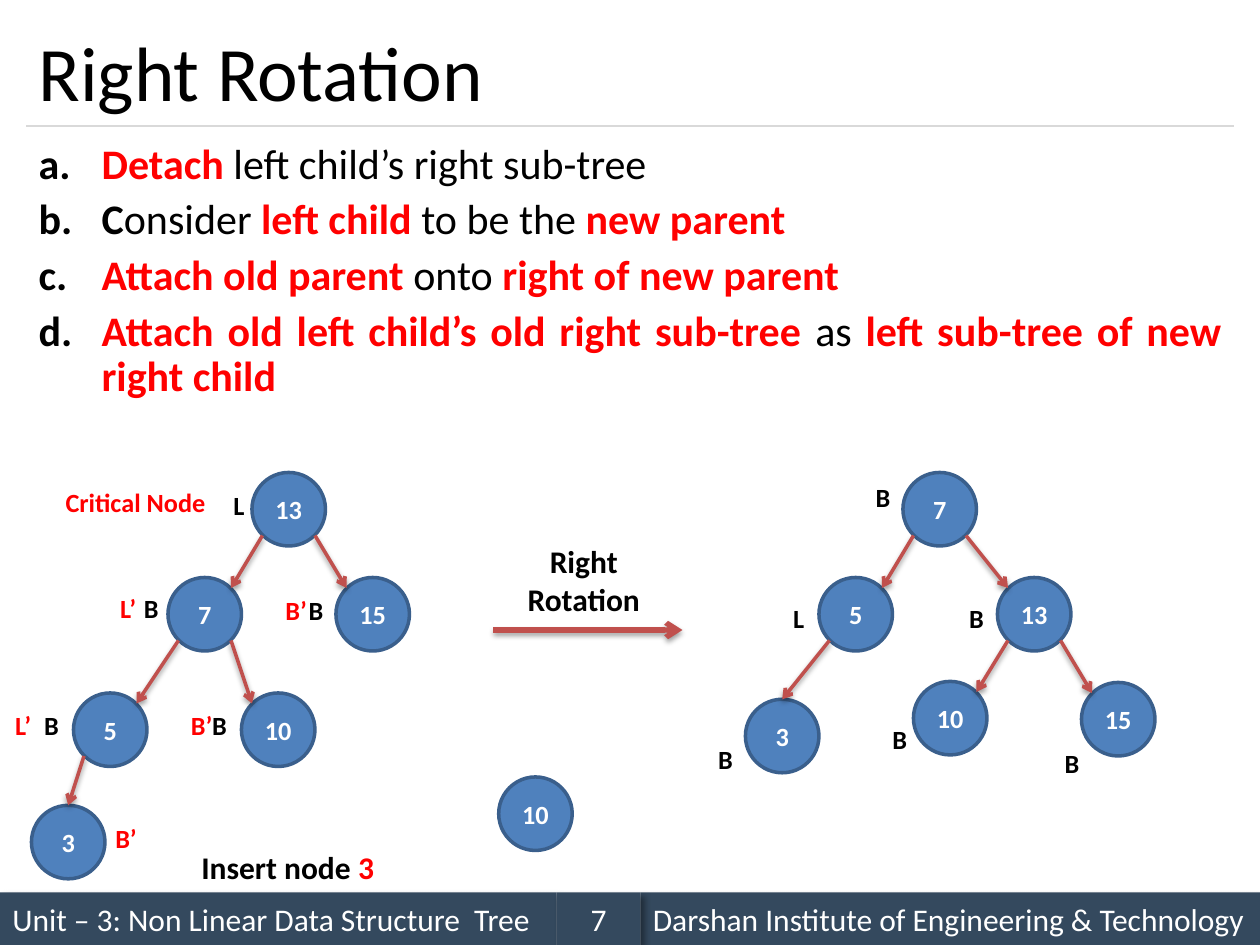
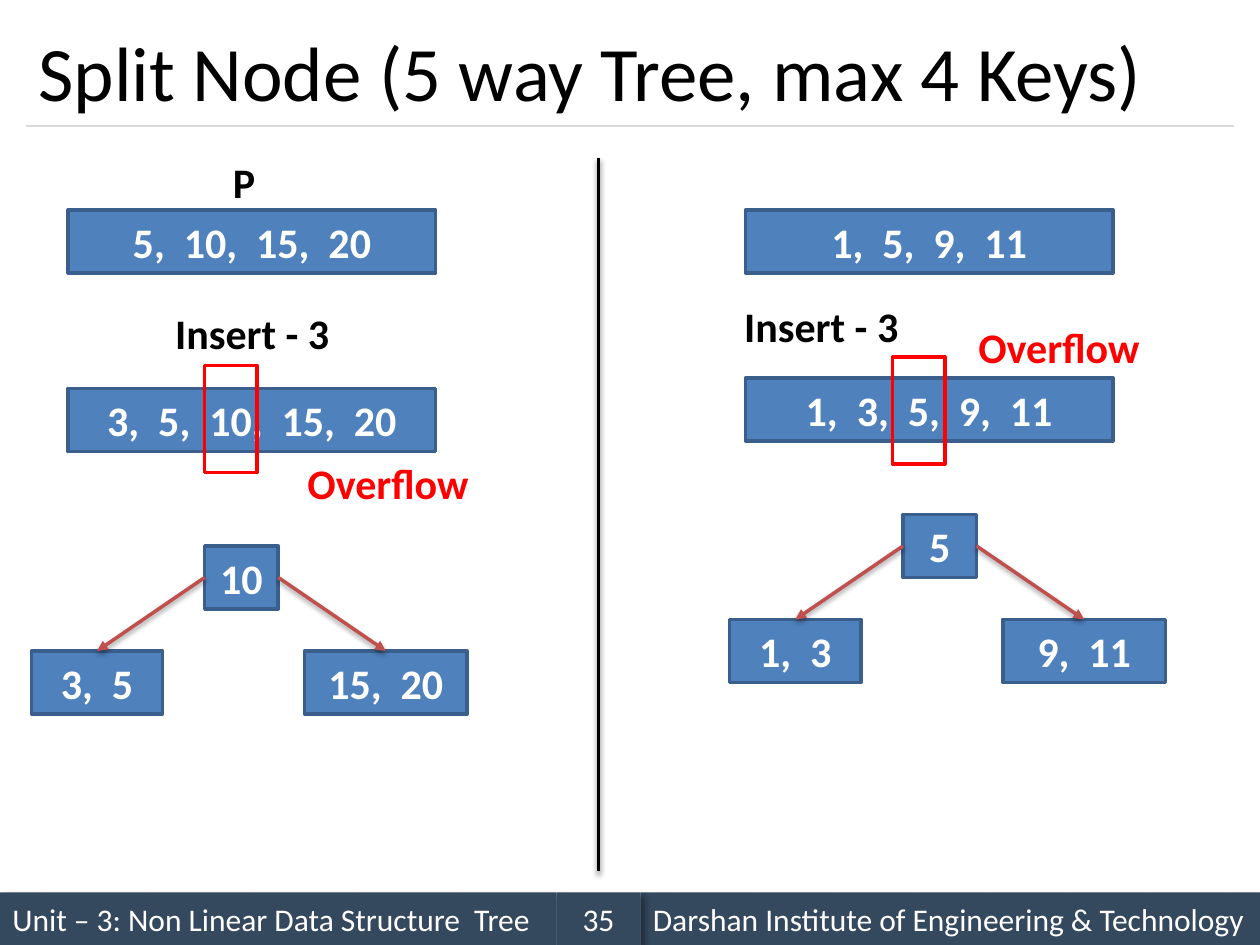
"""Build two data-structure slides: right rotation of a tree and splitting a node."""
from dataclasses import dataclass

from lxml import etree
from pptx import Presentation
from pptx.dml.color import RGBColor
from pptx.enum.shapes import MSO_CONNECTOR, MSO_SHAPE
from pptx.enum.text import MSO_ANCHOR, PP_ALIGN
from pptx.oxml import parse_xml
from pptx.oxml.ns import qn
from pptx.util import Pt

PX = 7620
RECTANGLE, ELLIPSE = MSO_SHAPE.RECTANGLE, MSO_SHAPE.OVAL
STRAIGHT = MSO_CONNECTOR.STRAIGHT
TOP, MIDDLE = MSO_ANCHOR.TOP, MSO_ANCHOR.MIDDLE
LEFT, CENTER, JUSTIFY = PP_ALIGN.LEFT, PP_ALIGN.CENTER, PP_ALIGN.JUSTIFY
SHADOW = (
    '<a:effectLst xmlns:a="http://schemas.openxmlformats.org/drawingml/2006/main">'
    '<a:outerShdw blurRad="{}" dist="{}" dir="{}" algn="t" rotWithShape="0">'
    '<a:srgbClr val="000000"><a:alpha val="{}"/></a:srgbClr>'
    "</a:outerShdw></a:effectLst>"
)
BAND_SHADOW = SHADOW.format(50800, 38100, 2700000, 40000)
LINE_SHADOW = SHADOW.format(39370, 20320, 5400000, 38000)


@dataclass(frozen=True)
class Theme:
    font: str = "Calibri"
    black: RGBColor = RGBColor(0, 0, 0)
    white: RGBColor = RGBColor(255, 255, 255)
    red: RGBColor = RGBColor(255, 0, 0)
    band: RGBColor = RGBColor(0x34, 0x49, 0x5E)
    rule: RGBColor = RGBColor(0xD9, 0xD9, 0xD9)
    node: RGBColor = RGBColor(0x4F, 0x81, 0xBD)
    edge: RGBColor = RGBColor(0x3A, 0x5F, 0x8C)
    arrow: RGBColor = RGBColor(0xC0, 0x50, 0x4D)
    title: int = 44
    body: int = 24
    note: int = 18
    label: int = 15


theme = Theme()
BLACK, RED = theme.black, theme.red


def write(page, text, place, *, shape=None, fill=None, line=None, size=theme.note,
          color=BLACK, bold=False, align=LEFT, anchor=TOP, wrap=True, lettered=False):
    """Add a text box or shape; text is a string or a list of lists of spans."""
    place = [PX * length for length in place]
    if shape is None:
        box = page.shapes.add_textbox(*place)
    else:
        box = page.shapes.add_shape(shape, *place)
        box.shadow.inherit = False
        if fill is None:
            box.fill.background()
        else:
            box.fill.solid()
            box.fill.fore_color.rgb = fill
        if line is None:
            box.line.fill.background()
        else:
            box.line.color.rgb = line
            box.line.width = Pt(2)
    frame = box.text_frame
    frame.word_wrap = wrap
    frame.vertical_anchor = anchor
    if isinstance(text, str):
        text = [[(words, color, bold)] for words in text.split("\n")]
    for number, spans in enumerate(text):
        para = frame.add_paragraph() if number else frame.paragraphs[0]
        para.alignment = align
        if lettered:
            para.line_spacing = 0.9
            if number:
                para.space_before = Pt(6)
            props = para._p.get_or_add_pPr()
            props.set("marL", str(60 * PX))
            props.set("indent", str(-60 * PX))
            tint = etree.SubElement(props, qn("a:buClr"))
            etree.SubElement(tint, qn("a:srgbClr"), val=str(BLACK))
            etree.SubElement(props, qn("a:buAutoNum"), type="alphaLcPeriod")
        for words, span_color, span_bold in spans:
            span = para.add_run()
            span.text = words
            span.font.name = theme.font
            span.font.size = Pt(size)
            span.font.bold = span_bold
            span.font.color.rgb = span_color
    return box


def connect(page, start, end, *, color=theme.arrow, width=2, head=None, shadow=LINE_SHADOW):
    """Draw a straight line between two points, with an optional arrowhead."""
    link = page.shapes.add_connector(STRAIGHT, *[PX * length for length in (*start, *end)])
    link.line.color.rgb = color
    link.line.width = Pt(width)
    props = link._element.spPr
    if head:
        etree.SubElement(props.find(qn("a:ln")), qn("a:tailEnd"), type=head)
    props.append(parse_xml(shadow) if shadow else etree.Element(qn("a:effectLst")))
    return link


deck = Presentation()
deck.slide_width, deck.slide_height = 1200 * PX, 900 * PX

pages = []
for title, number in (("Right Rotation", "7"), ("Split Node (5 way Tree, max 4 Keys)", "35")):
    page = deck.slides.add_slide(deck.slide_layouts[6])
    pages.append(page)
    for words, place, align in (
        ("Unit – 3: Non Linear Data Structure  Tree", (0, 850, 530, 50), LEFT),
        ("Darshan Institute of Engineering & Technology", (610, 850, 590, 50), LEFT),
        (number, (530, 850, 80, 50), CENTER),
    ):
        band = write(page, words, place, shape=RECTANGLE, fill=theme.band,
                     color=theme.white, align=align, anchor=MIDDLE)
        props = band._element.spPr
        props.replace(props.find(qn("a:effectLst")), parse_xml(BAND_SHADOW))
    connect(page, (25, 120), (1175, 120), color=theme.rule, width=0.75, shadow=None)
    write(page, title, (25, 15, 1150, 105), size=theme.title, anchor=MIDDLE)

rotation, split = pages

steps = [
    [("Detach", RED, True), (" left child’s right sub-tree", BLACK, False)],
    [("C", BLACK, True), ("onsider ", BLACK, False), ("left child ", RED, True),
     ("to be the ", BLACK, False), ("new parent", RED, True)],
    [("Attach old parent ", RED, True), ("onto", BLACK, False),
     (" right of new parent", RED, True)],
    [("Attach old left child’s old right sub-tree ", RED, True), ("as ", BLACK, False),
     ("left sub-tree of new right child", RED, True)],
]
write(rotation, steps, (25, 130, 1150, 280), size=theme.body, align=JUSTIFY, lettered=True)

NODE = dict(fill=theme.node, line=theme.edge, color=theme.white, bold=True,
            align=CENTER, anchor=MIDDLE, wrap=False)
CIRCLE = dict(NODE, shape=ELLIPSE, size=theme.label)
DIAMETER, NEAR, FAR = 70, 10, 60

before = {"13": (240, 450), "7": (160, 550), "15": (320, 550),
          "5": (70, 660), "10": (230, 660), "3": (30, 767)}
after = {"7": (860, 450), "5": (780, 550), "3": (710, 666),
         "13": (950, 550), "15": (1030, 650), "10": (870, 649)}
trees = (
    (before, (("13", "7"), ("13", "15"), ("7", "5"), ("7", "10"), ("5", "3"))),
    (after, (("7", "5"), ("7", "13"), ("5", "3"), ("13", "10"), ("13", "15"))),
)
for nodes, edges in trees:
    for key, (x, y) in nodes.items():
        write(rotation, key, (x, y, DIAMETER, DIAMETER), **CIRCLE)
    for parent, child in edges:
        (x, y), (child_x, child_y) = nodes[parent], nodes[child]
        leave, enter = (NEAR, FAR) if child_x < x else (FAR, NEAR)
        end = (child_x + enter, child_y + NEAR)
        if child == "3":
            end = (child_x + DIAMETER // 2, child_y)
        connect(rotation, (x + leave, y + FAR), end, head="arrow")
write(rotation, "10", (475, 740, DIAMETER, DIAMETER), **CIRCLE)

balance_labels = (
    ("B", 38, BLACK, ((30, 670), (190, 670), (125, 558), (282, 560), (672, 702),
                      (838, 683), (1002, 706), (911, 568), (822, 452))),
    ("L", 35, BLACK, ((210, 460), (743, 568))),
    ("B’", 54, RED, ((93, 777), (165, 670), (255, 560))),
    ("L’", 44, RED, ((0, 670), (100, 558))),
    ("Critical Node", 164, RED, ((47, 457),)),
)
for words, width, color, spots in balance_labels:
    for x, y in spots:
        write(rotation, words, (x, y, width, 42), size=theme.label, color=color,
              bold=True, align=CENTER, wrap=False)

insertion = [[("Insert node ", BLACK, True), ("3", RED, True)]]
write(rotation, insertion, (180, 802, 190, 48), wrap=False)
write(rotation, "Right\nRotation", (490, 510, 132, 85), bold=True, align=CENTER, wrap=False)
connect(rotation, (470, 600), (650, 600), width=3, head="arrow")

KEYS = dict(NODE, shape=RECTANGLE, size=theme.body)
CAPTION = dict(size=theme.body, bold=True, wrap=False)
ROW = 60

write(split, "P", (210, 143, 46, ROW), **CAPTION)
connect(split, (570, 150), (570, 830), color=BLACK)

examples = (
    (65, "5,  10,  15,  20", "3,  5,  10,  15,  20", 370, (155, 287), (281, 430),
     (195, 348), (195, 520), ("10", "3,  5", "15,  20")),
    (710, "1,  5,  9,  11", "1,  3,  5,  9,  11", 360, (697, 280), (920, 300),
     (850, 340), (860, 490), ("5", "1,  3", "9,  11")),
)
for x, keys, full, full_y, insert, overflow, median, (root_x, root_y), parts in examples:
    write(split, keys, (x, 200, 350, ROW), **KEYS)
    write(split, "Insert - 3", (*insert, 173, ROW), **CAPTION)
    write(split, full, (x, full_y, 350, ROW), **KEYS)
    write(split, "Overflow", (*overflow, 180, ROW), color=RED, **CAPTION)
    write(split, [], (*median, 50, 102), shape=RECTANGLE, line=RED)
    root = write(split, parts[0], (root_x, root_y, 70, ROW), **KEYS)
    for words, shift, width, side in ((parts[1], -165, 125, 1), (parts[2], 95, 155, 3)):
        child = write(split, words, (root_x + shift, root_y + 100, width, ROW), **KEYS)
        link = connect(split, (root_x, root_y), (root_x, root_y + 100), head="triangle")
        link.begin_connect(root, side)
        link.end_connect(child, 0)

deck.save("out.pptx")
